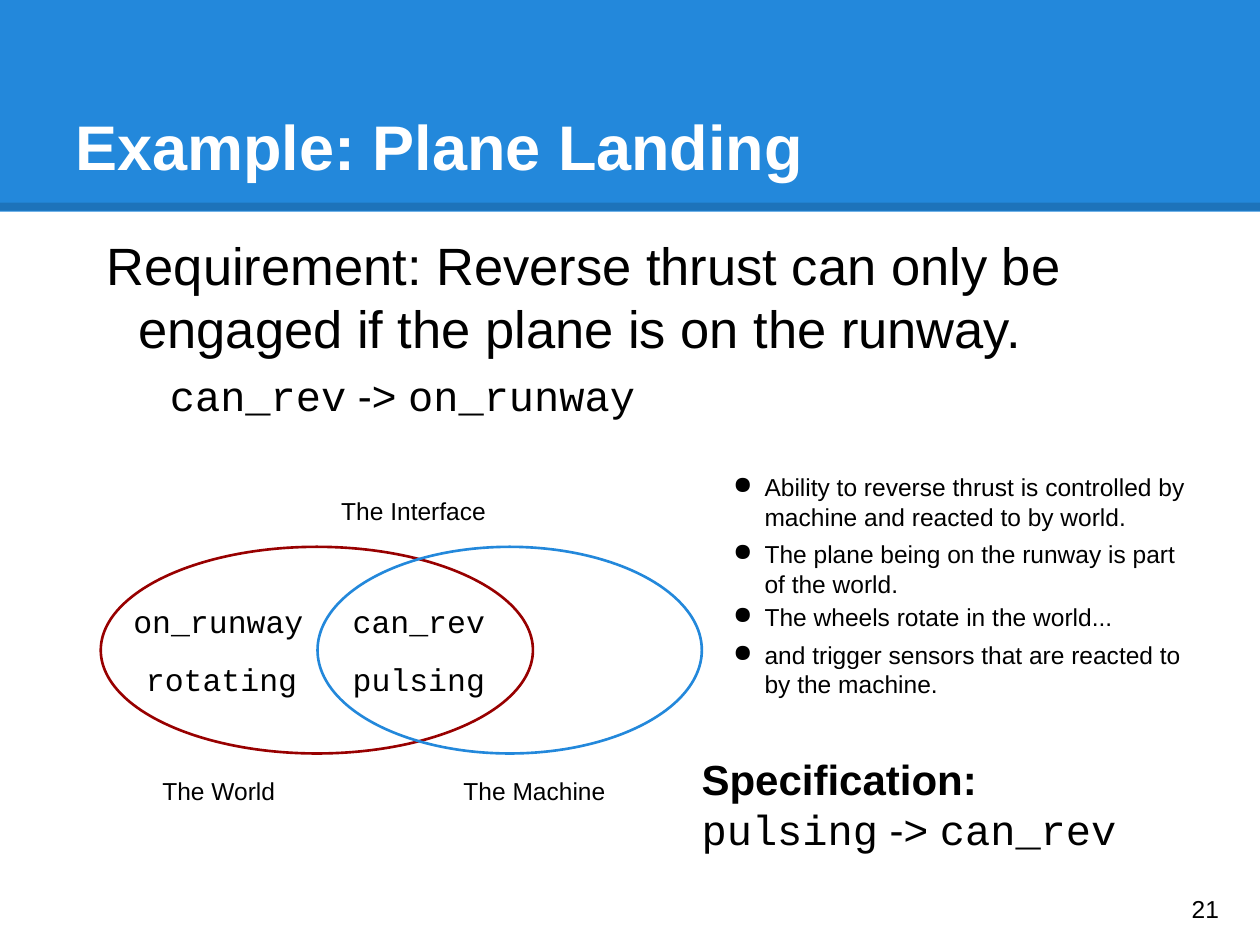
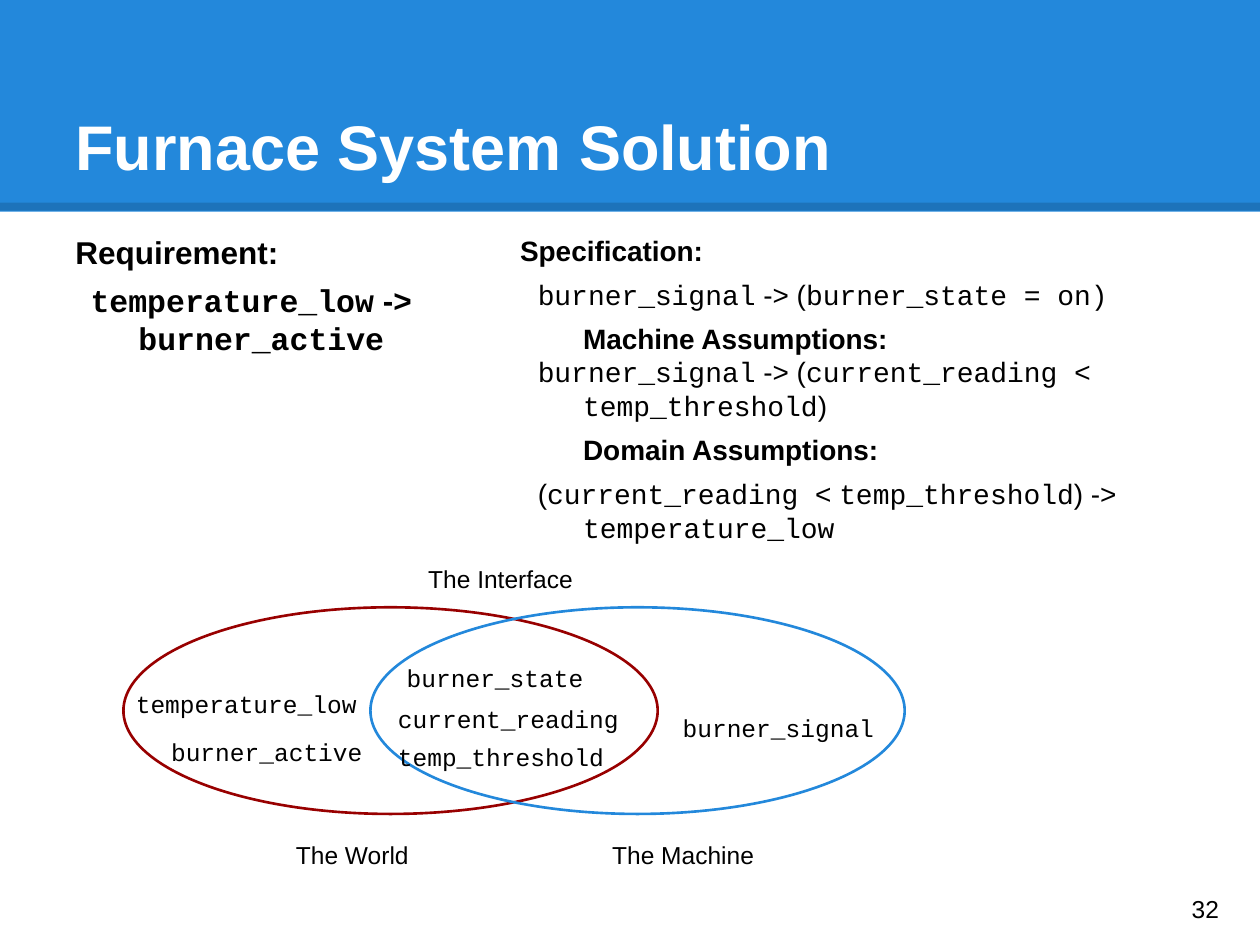
from lxml import etree
from pptx import Presentation
from pptx import util as u
from pptx.dml.color import RGBColor
from pptx.enum import shapes, text
from pptx.oxml import ns

PX = 9144  # EMU per px, 100 px to the inch
COLORS = {"band": "2388DB", "title": "FFFFFF", "ink": "000000",
          "world": "980000", "machine": "2388DB"}
BODY, CODE = "Arial", "Courier New"


class Deck:
    """Shared style plus the slide being built."""

    def __init__(self):
        self.file = Presentation()
        self.file.slide_width, self.file.slide_height = u.Emu(1000 * PX), u.Emu(750 * PX)
        self.slide = None

    def color(self, name):
        return RGBColor.from_string(COLORS[name])

    def new_slide(self, title, number):
        self.slide = self.file.slides.add_slide(self.file.slide_layouts[6])
        self.rectangle(0, 0, 1000, 168, "band")
        self.shade_line(0, 164, 1000, 164)
        self.text(50, 30, 900, 125, [dict(words=title, size=36, bold=True, color="title")],
                  text.MSO_ANCHOR.BOTTOM)
        self.text(936, 693, 60, 57, [dict(words=number, size=14)], text.MSO_ANCHOR.MIDDLE)

    def shape(self, kind, box):
        drawn = self.slide.shapes.add_shape(kind, *(u.Emu(side * PX) for side in box))
        drawn.shadow.inherit = False
        return drawn

    def rectangle(self, left, top, width, height, color):
        band = self.shape(shapes.MSO_SHAPE.RECTANGLE, (left, top, width, height))
        band.fill.solid()
        band.fill.fore_color.rgb = self.color(color)
        band.line.fill.background()

    def shade_line(self, *ends):
        """Draw a thick black line at 15 % opacity."""
        line = self.slide.shapes.add_connector(
            shapes.MSO_CONNECTOR.STRAIGHT, *(u.Emu(end * PX) for end in ends))
        line.line.width = u.Pt(4.5)
        line.line.color.rgb = self.color("ink")
        properties = line.element.spPr
        solid = properties.find(".//" + ns.qn("a:srgbClr"))
        etree.SubElement(solid, ns.qn("a:alpha"), val="15000")
        etree.SubElement(properties, ns.qn("a:effectLst"))

    def ellipse(self, left, top, width, height, color):
        ring = self.shape(shapes.MSO_SHAPE.OVAL, (left, top, width, height))
        ring.fill.background()
        ring.line.color.rgb = self.color(color)
        ring.line.width = u.Pt(1.5)

    def text(self, left, top, width, height, paragraphs, anchor=text.MSO_ANCHOR.TOP):
        box = self.slide.shapes.add_textbox(*(u.Emu(v * PX) for v in (left, top, width, height)))
        frame = box.text_frame
        frame.word_wrap = True
        frame.vertical_anchor = anchor
        frame.margin_left = frame.margin_right = u.Emu(10 * PX)
        frame.margin_top = frame.margin_bottom = u.Emu(10 * PX)
        for index, content in enumerate(paragraphs):
            paragraph = frame.add_paragraph() if index else frame.paragraphs[0]
            self.fill_paragraph(paragraph, **content)

    def fill_paragraph(self, paragraph, words, size, bold=False, color="ink",
                       margin=0, indent=0, before=0, bullet=None):
        """Write words, with the parts between backticks in the code font."""
        properties = paragraph._p.get_or_add_pPr()
        properties.set("marL", str(margin * PX))
        properties.set("indent", str(indent * PX))
        if bullet:
            etree.SubElement(properties, ns.qn("a:buChar"), char=bullet)
        if before:
            paragraph.space_before = u.Pt(before)
        paragraph.font.size, paragraph.font.bold = u.Pt(size), bold
        paragraph.font.color.rgb = self.color(color)
        parts = [(part, CODE if index % 2 else BODY)
                 for index, part in enumerate(words.split("`")) if part]
        fonts = {font for _, font in parts}
        if len(fonts) == 1:
            paragraph.font.name = fonts.pop()
        for part, font in parts:
            run = paragraph.add_run()
            run.text = part
            if fonts:
                run.font.name = font

    def label(self, left, top, width, words):
        self.text(left, top, width, 44, [dict(words=words, size=14)])

    def venn(self, top, world, machine, captions, terms, term_size):
        """Draw the two sets from (left, width) pairs, their captions and terms."""
        self.ellipse(world[0], top, world[1], 164, "world")
        self.ellipse(machine[0], top, machine[1], 164, "machine")
        names = ("The World", 128), ("The Machine", 142), ("The Interface", 145)
        for (words, width), (left, caption_top) in zip(names, captions):
            self.label(left, caption_top, width, words)
        for left, term_top, width, words in terms:
            self.text(left, term_top, width, 30, [dict(words=f"`{words}`", size=term_size)])


def plane_landing(deck):
    deck.new_slide("Example: Plane Landing", "21")
    deck.text(50, 175, 900, 170, [
        dict(words="Requirement: Reverse thrust can only be engaged if the plane is on the runway.",
             size=30, margin=50, indent=-25),
        dict(words="`can_rev` -> `on_runway`", size=24, margin=100, indent=-25, before=6)])
    deck.venn(434, (80, 343), (252, 305), [(119, 606), (358, 606), (261, 384)],
              [(96, 468, 174, "on_runway"), (106, 514, 154, "rotating"),
               (270, 468, 128, "can_rev"), (270, 514, 128, "pulsing")], 18)
    facts = [(365, "Ability to reverse thrust is controlled by machine and reacted to by world."),
             (418, "The plane being on the runway is part of the world."),
             (468, "The wheels rotate in the world..."),
             (498, "and trigger sensors that are reacted to by the machine.")]
    for top, fact in facts:
        deck.text(547, top, 406, 50,
                  [dict(words=fact, size=14, margin=50, indent=-25, bullet="●")])
    deck.text(547, 588, 403, 78, [dict(words="Specification:", size=24, bold=True),
                                  dict(words="`pulsing` -> `can_rev`", size=24)])


def furnace_solution(deck):
    deck.new_slide("Furnace System Solution", "32")
    deck.text(50, 175, 465, 217, [
        dict(words="Requirement:", size=18, bold=True),
        dict(words="`temperature_low` -> `burner_active`", size=18, bold=True,
             margin=50, indent=-38, before=6)])
    deck.venn(482, (98, 424), (294, 424), [(225, 657), (476, 657), (330, 438)],
              [(98, 537, 203, "temperature_low"), (126, 575, 180, "burner_active"),
               (313, 516, 180, "burner_state"), (306, 549, 221, "current_reading"),
               (306, 579, 203, "temp_threshold"), (532, 556, 203, "burner_signal")], 14)
    heading = dict(size=16, bold=True)
    formula = dict(size=16, margin=50, indent=-36)
    deck.text(403, 175, 547, 217, [
        dict(heading, words="Specification:"),
        dict(formula, words="`burner_signal` -> (`burner_state = on)`", before=6),
        dict(heading, words="Machine Assumptions:", margin=50, before=6),
        dict(formula, words="`burner_signal` -> (`current_reading `< `temp_threshold`)"),
        dict(heading, words="Domain Assumptions:", margin=50, before=6),
        dict(formula, words="(`current_reading `< `temp_threshold`) -> `temperature_low`",
             before=6)])


def main():
    deck = Deck()
    plane_landing(deck)
    furnace_solution(deck)
    deck.file.save("out.pptx")


if __name__ == "__main__":
    main()
